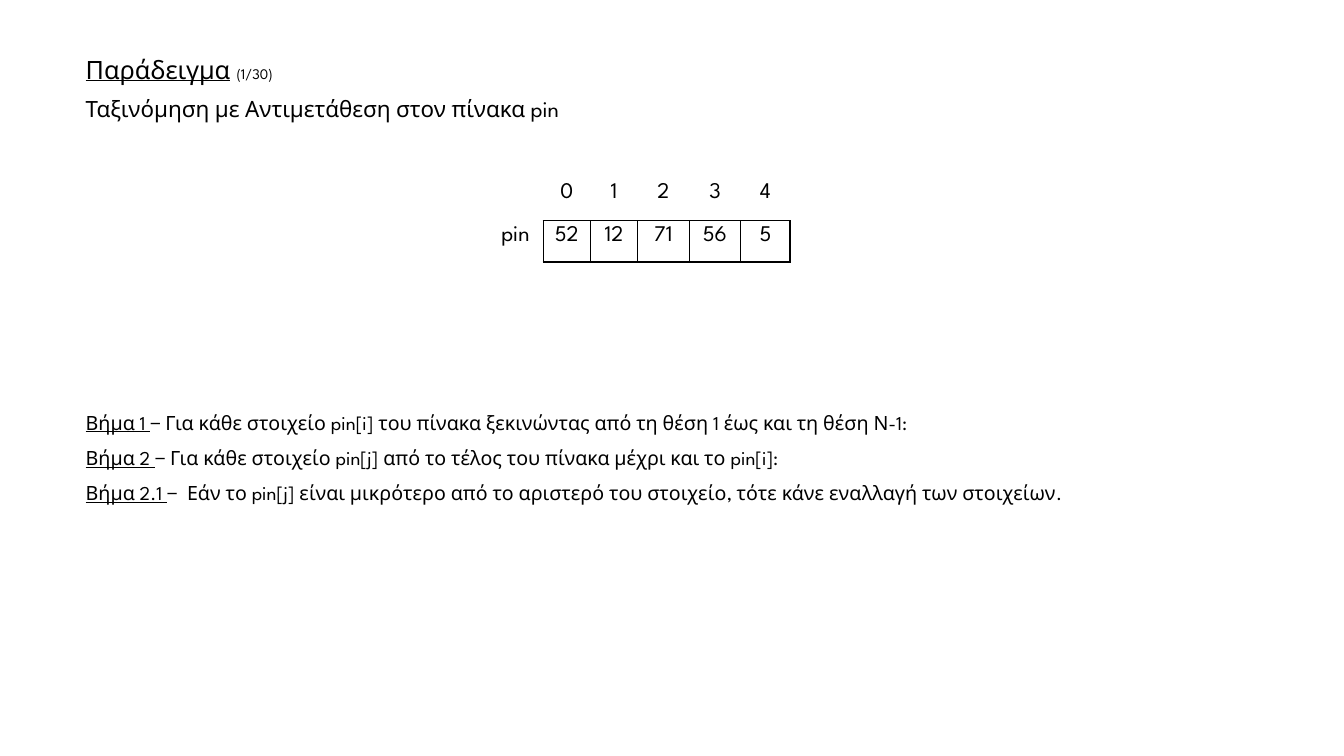
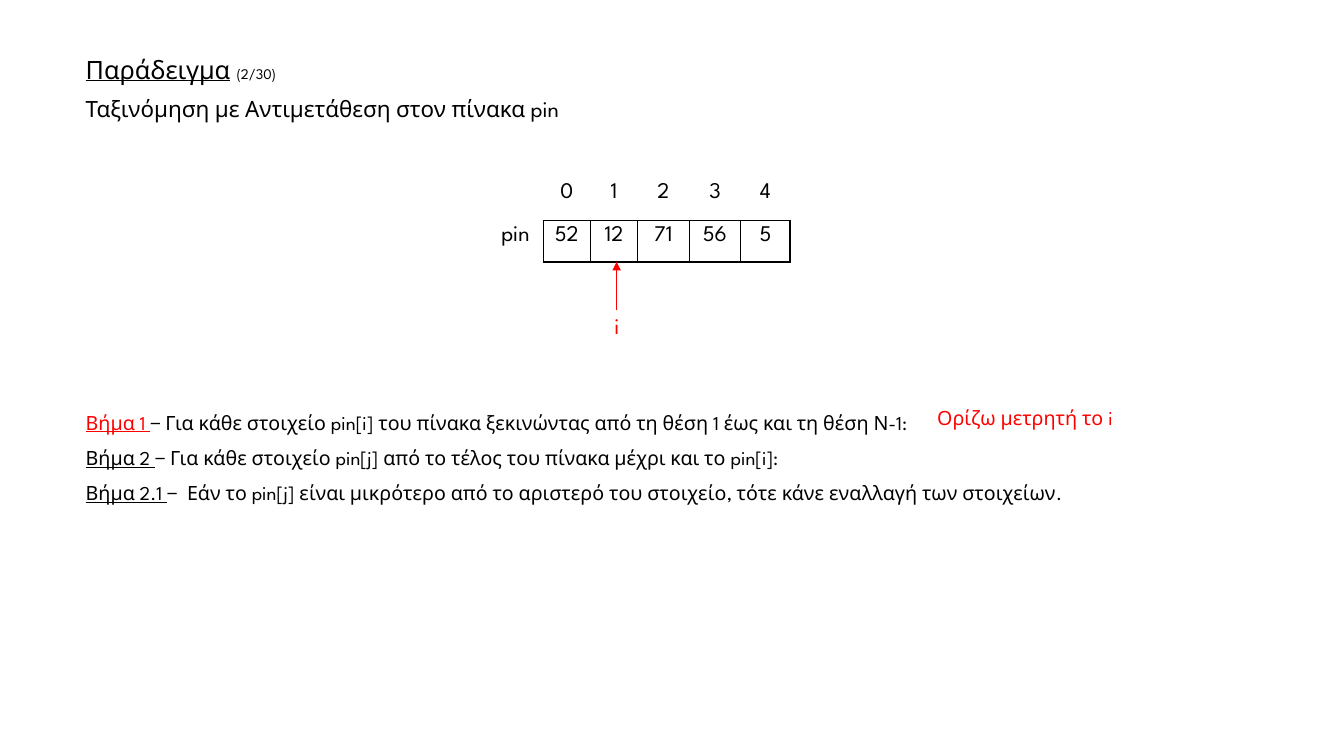
from lxml import etree
from pptx import Presentation
from pptx import util as u
from pptx.dml import color
from pptx.enum import shapes, text
from pptx.oxml import ns

FONT = "League Spartan"
BLACK = "000000"
RED = "FF0000"
LEFT = 1.91
TABLE_LEFT, TABLE_TOP = 12.29, 4.47
COLS = [1.4, 1.19, 1.19, 1.3, 1.3, 1.24]
ROWS = [1.09, 1.04]
TABLE_BOTTOM = TABLE_TOP + sum(ROWS)
VALUES = [52, 12, 71, 56, 5]
TOTAL = 30
STEPS = [
    ("Βήμα 1 ", "− Για κάθε στοιχείο pin[i] του πίνακα ξεκινώντας από τη θέση 1 έως και τη θέση Ν-1:"),
    ("Βήμα 2 ", "− Για κάθε στοιχείο pin[j] από το τέλος του πίνακα μέχρι και το pin[i]:"),
    ("Βήμα 2.1 ", "−  Εάν το pin[j] είναι μικρότερο από το αριστερό του στοιχείο, τότε κάνε εναλλαγή των στοιχείων."),
]


def rgb(value):
    """Turn a hex string into a colour."""
    return color.RGBColor.from_string(value)


def style(r, size, hue=BLACK, underline=False):
    """Format one run."""
    r.font.name = FONT
    r.font.size = u.Pt(size)
    r.font.color.rgb = rgb(hue)
    r.font.underline = underline


def add_text(s, left, top, width, height, paragraphs, spacing=0.9, before=0, wrap=True):
    """Add a text box whose paragraphs are lists of (text, size, colour, underline) runs."""
    sp = s.shapes.add_textbox(u.Cm(left), u.Cm(top), u.Cm(width), u.Cm(height))
    tf = sp.text_frame
    tf.word_wrap = wrap
    for i, runs in enumerate(paragraphs):
        p = tf.add_paragraph() if i else tf.paragraphs[0]
        p.line_spacing = spacing
        p.space_before = u.Pt(before if i else 0)
        for content, *look in runs:
            r = p.add_run()
            r.text = content
            style(r, *look)
    return sp


def add_title(s, number):
    """Add the numbered heading and its subtitle."""
    heading = [("Παράδειγμα", 18, BLACK, True), (" ", 18), (f"({number}/{TOTAL})", 10.5)]
    subtitle = [("Ταξινόμηση με Αντιμετάθεση στον πίνακα pin", 16)]
    add_text(s, LEFT, 1.32, 27.41, 1.96, [heading, subtitle], before=10)


def add_steps(s, active=None):
    """Add the steps of the algorithm, with the active one in red."""
    paragraphs = [[(name, 14, RED if i == active else BLACK, True), (rule, 14)]
                  for i, (name, rule) in enumerate(STEPS)]
    add_text(s, LEFT, 9.93, 29.29, 2.84, paragraphs, spacing=1.5)


def set_borders(cell, sides):
    """Draw the named sides of a cell and clear the others."""
    tcPr = cell._tc.get_or_add_tcPr()
    for i, side in enumerate("LRTB"):
        ln = etree.Element(ns.qn(f"a:ln{side}"), w=str(u.Pt(1)))
        if side in sides:
            fill = etree.SubElement(ln, ns.qn("a:solidFill"))
            etree.SubElement(fill, ns.qn("a:srgbClr"), val=BLACK)
        else:
            etree.SubElement(ln, ns.qn("a:noFill"))
        tcPr.insert(i, ln)


def add_array(s):
    """Add the array as a table with its indexes above the values."""
    frame = s.shapes.add_table(len(ROWS), len(COLS), u.Cm(TABLE_LEFT), u.Cm(TABLE_TOP),
                               u.Cm(sum(COLS)), u.Cm(sum(ROWS)))
    table = frame.table
    table.first_row = table.horz_banding = False
    for column, width in zip(table.columns, COLS):
        column.width = u.Cm(width)
    for row, height in zip(table.rows, ROWS):
        row.height = u.Cm(height)
    grid = [["", *range(len(VALUES))], ["pin", *VALUES]]
    borders = [["", "B"], ["R", "LRTB"]]
    for i, line in enumerate(grid):
        for j, value in enumerate(line):
            cell = table.cell(i, j)
            cell.fill.background()
            set_borders(cell, borders[i][min(j, 1)])
            p = cell.text_frame.paragraphs[0]
            p.text = str(value)
            p.alignment = text.PP_ALIGN.CENTER
            for r in p.runs:
                style(r, 16)


def add_pointer(s, name, center):
    """Add a named red arrow that points up at the array."""
    width, top = 0.61, 7.82
    sp = add_text(s, center - width / 2, top, width, 0.91, [[(name, 16, RED)]], wrap=False)
    sp.text_frame.paragraphs[0].alignment = text.PP_ALIGN.CENTER
    arrow = s.shapes.add_connector(shapes.MSO_CONNECTOR.STRAIGHT, u.Cm(center), u.Cm(top),
                                   u.Cm(center), u.Cm(TABLE_BOTTOM))
    arrow.begin_connect(sp, 0)
    arrow.line.color.rgb = rgb(RED)
    arrow.line.width = u.Pt(0.5)
    etree.SubElement(arrow.line._get_or_add_ln(), ns.qn("a:tailEnd"), type="triangle")
    etree.SubElement(arrow._element.spPr, ns.qn("a:effectLst"))


def add_example(prs, number, active=None):
    """Add a slide with the parts that every example shares."""
    s = prs.slides.add_slide(prs.slide_layouts[6])
    add_steps(s, active)
    add_title(s, number)
    add_array(s)
    return s


def main():
    """Build the presentation."""
    prs = Presentation()
    prs.slide_width, prs.slide_height = u.Cm(33.87), u.Cm(19.05)
    add_example(prs, 1)
    s = add_example(prs, 2, active=0)
    add_text(s, 23.37, 10.16, 6.5, 0.99, [[("Ορίζω μετρητή το i", 14, RED)]])
    add_pointer(s, "i", 15.54)
    prs.save("out.pptx")


if __name__ == "__main__":
    main()
